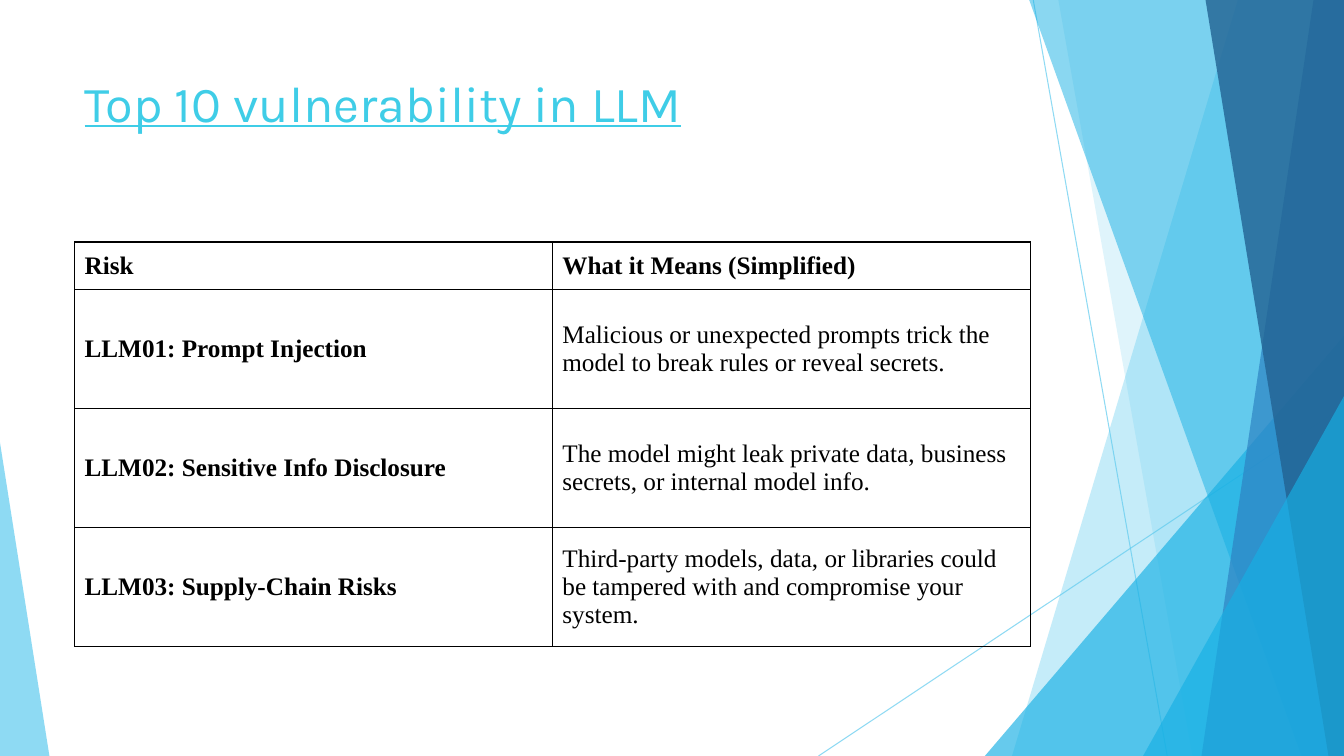
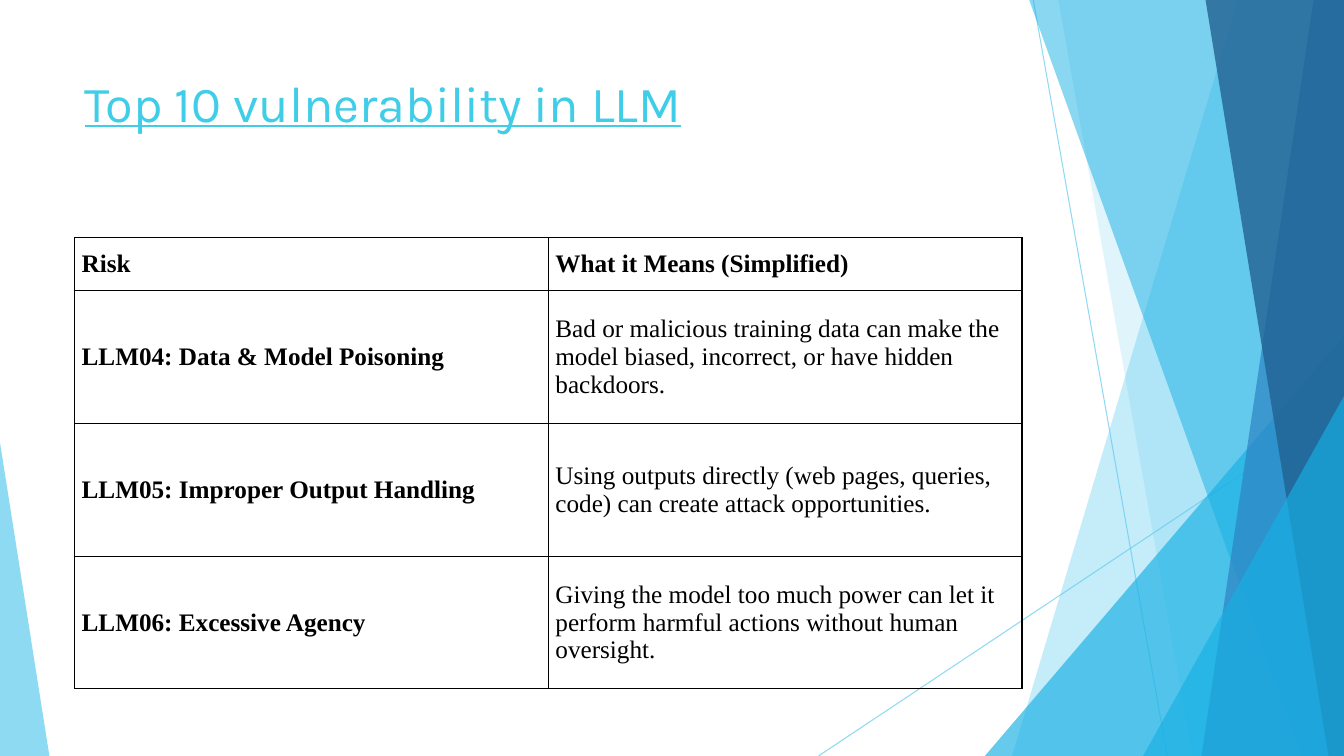
import dataclasses
import typing

import lxml.etree
import pptx
import pptx.dml.color
import pptx.enum.shapes
import pptx.enum.text
import pptx.oxml.ns
import pptx.util

WIDTH, HEIGHT = pptx.util.Inches(13.333), pptx.util.Inches(7.5)
HUES = {
    "sky": "5FCBEF",
    "cyan": "17B0E4",
    "blue": "2E83C3",
    "navy": "226292",
    "title": "3FCDE7",
    "ink": "000000",
}
TITLE = "Top 10 vulnerability in LLM"
HEADS = ("Risk", "What it Means (Simplified)")
LEFT = 5.55


# All lengths below are percentages of the slide's width or height.
@dataclasses.dataclass
class Ray:
    """A thin line from (x1, y1) to (x2, y2)."""
    x1: float
    y1: float
    x2: float
    y2: float


@dataclasses.dataclass
class Band:
    """A full-height panel with a slanted left edge, reaching the right edge."""
    top: float
    base: float
    hue: str
    alpha: int


@dataclasses.dataclass
class Wedge:
    """A right triangle on the bottom edge; tip is 0 for left, 1 for right."""
    left: float
    top: float
    width: float
    tip: int
    hue: str
    alpha: int


@dataclasses.dataclass
class Page:
    top: float
    width: float
    head: float
    row: float
    pad_x: float
    pad_y: float
    risks: list[tuple[str, str]]


RAYS = [Ray(76.88, 0, 86.85, 100), Ray(100, 53.73, 60.9, 100)]
PANES = [
    Band(92.1, 75.3, "sky", 36),
    Band(78.75, 88.73, "sky", 20),
    Wedge(73.28, 44.4, 26.72, 1, "cyan", 66),
    Band(76.58, 96.83, "cyan", 50),
    Band(97.73, 89.4, "blue", 70),
    Band(89.7, 98.85, "navy", 80),
    Wedge(85.05, 52.4, 14.95, 1, "cyan", 66),
    Wedge(0, 58.53, 3.68, 0, "sky", 70),
]
PAGES = [
    Page(32, 71.1, 6.27, 15.75, 0.75, 0.67, [
        ("LLM01: Prompt Injection",
         "Malicious or unexpected prompts trick the model to break rules or reveal secrets."),
        ("LLM02: Sensitive Info Disclosure",
         "The model might leak private data, business secrets, or internal model info."),
        ("LLM03: Supply-Chain Risks",
         "Third-party models, data, or libraries could be tampered with and compromise your system."),
    ]),
    Page(31.4, 70.5, 7.07, 17.55, 0.53, 0.4, [
        ("LLM04: Data & Model Poisoning",
         "Bad or malicious training data can make the model biased, incorrect, or have hidden backdoors."),
        ("LLM05: Improper Output Handling",
         "Using outputs directly (web pages, queries, code) can create attack opportunities."),
        ("LLM06: Excessive Agency",
         "Giving the model too much power can let it perform harmful actions without human oversight."),
    ]),
]


def across(share: float) -> int:
    return round(WIDTH * share / 100)


def down(share: float) -> int:
    return round(HEIGHT * share / 100)


def shade(hue: str) -> pptx.dml.color.RGBColor:
    return pptx.dml.color.RGBColor.from_string(HUES[hue])


def add_node(parent: typing.Any, tag: str, **attrs: str) -> typing.Any:
    return lxml.etree.SubElement(parent, pptx.oxml.ns.qn(tag), attrs)


def fade(shape: typing.Any, alpha: int) -> None:
    """Set the opacity, in percent, of every colour in the shape."""
    for node in shape.element.spPr.iter(pptx.oxml.ns.qn("a:srgbClr")):
        add_node(node, "a:alpha", val=str(alpha * 1000))


def draw_ray(shapes: typing.Any, ray: Ray) -> None:
    line = shapes.add_connector(
        pptx.enum.shapes.MSO_CONNECTOR.STRAIGHT,
        across(ray.x1), down(ray.y1), across(ray.x2), down(ray.y2))
    line.line.color.rgb = shade("sky")
    line.line.width = pptx.util.Pt(0.75)
    fade(line, 70)
    add_node(line.element.spPr, "a:effectLst")


def draw_pane(shapes: typing.Any, pane: Band | Wedge) -> None:
    if isinstance(pane, Band):
        pen = shapes.build_freeform(across(pane.top), 0)
        pen.add_line_segments(
            [(WIDTH, 0), (WIDTH, HEIGHT), (across(pane.base), HEIGHT)])
        shape = pen.convert_to_shape()
    else:
        shape = shapes.add_shape(
            pptx.enum.shapes.MSO_SHAPE.ISOSCELES_TRIANGLE,
            across(pane.left), down(pane.top),
            across(pane.width), down(100 - pane.top))
        shape.adjustments[0] = pane.tip
    shape.shadow.inherit = False
    shape.line.fill.background()
    shape.fill.solid()
    shape.fill.fore_color.rgb = shade(pane.hue)
    fade(shape, pane.alpha)


def add_decor(slide: typing.Any) -> None:
    """Draw the shared art as a group and hand it to the slide's layout."""
    group = slide.shapes.add_group_shape()
    for ray in RAYS:
        draw_ray(group.shapes, ray)
    for pane in PANES:
        draw_pane(group.shapes, pane)
    slide.slide_layout.shapes.element.append(group.element)


def add_run(frame: typing.Any, text: str, face: str, size: int, hue: str) -> typing.Any:
    run = frame.paragraphs[0].add_run()
    run.text = text
    run.font.name = face
    run.font.size = pptx.util.Pt(size)
    run.font.color.rgb = shade(hue)
    return run


def set_title(slide: typing.Any) -> None:
    title = slide.shapes.title
    title.left, title.top = across(LEFT), down(8.93)
    title.width, title.height = across(70.5), down(19.2)
    frame = title.text_frame
    frame.auto_size = pptx.enum.text.MSO_AUTO_SIZE.NONE
    frame.vertical_anchor = pptx.enum.text.MSO_ANCHOR.TOP
    frame.paragraphs[0].alignment = pptx.enum.text.PP_ALIGN.LEFT
    add_run(frame, TITLE, "Karla", 36, "title").font.underline = True


def set_cell(cell: typing.Any, text: str, bold: bool, page: Page) -> None:
    cell.margin_left = cell.margin_right = across(page.pad_x)
    cell.margin_top = cell.margin_bottom = down(page.pad_y)
    cell.vertical_anchor = pptx.enum.text.MSO_ANCHOR.MIDDLE
    props = cell._tc.get_or_add_tcPr()
    for side in "LRTB":
        edge = add_node(props, f"a:ln{side}", w=str(pptx.util.Pt(1)))
        add_node(add_node(edge, "a:solidFill"), "a:srgbClr", val=HUES["ink"])
    cell.fill.background()
    add_run(cell.text_frame, text, "Times New Roman", 18, "ink").font.bold = bold


def add_grid(slide: typing.Any, page: Page) -> None:
    rows = [HEADS, *page.risks]
    high = page.head + page.row * len(page.risks)
    table = slide.shapes.add_table(
        len(rows), len(HEADS), across(LEFT), down(page.top),
        across(page.width), down(high)).table
    table.first_row = table.horz_banding = False
    for col in table.columns:
        col.width = across(page.width / len(HEADS))
    for r, texts in enumerate(rows):
        table.rows[r].height = down(page.row if r else page.head)
        for c, text in enumerate(texts):
            set_cell(table.cell(r, c), text, r == 0 or c == 0, page)


def main() -> None:
    deck = pptx.Presentation()
    deck.slide_width, deck.slide_height = WIDTH, HEIGHT
    layout = deck.slide_layouts.get_by_name("Title Only")
    for holder in list(layout.placeholders)[1:]:
        holder.element.getparent().remove(holder.element)
    for page in PAGES:
        slide = deck.slides.add_slide(layout)
        set_title(slide)
        add_grid(slide, page)
    add_decor(deck.slides[0])
    deck.save("out.pptx")


if __name__ == "__main__":
    main()
